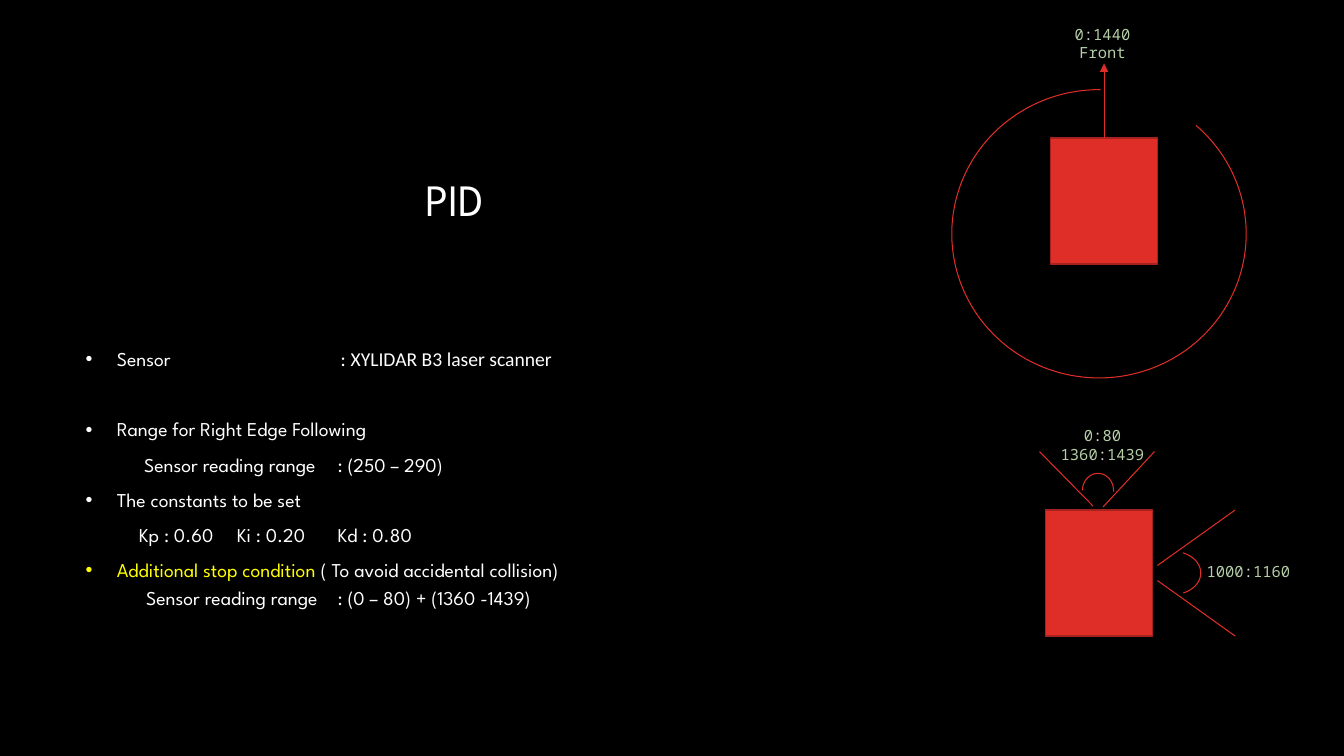
"""Builds the PID slide: sensor settings on the left, scan ranges on the right."""
from lxml import etree
from pptx import Presentation
from pptx.dml.color import RGBColor
from pptx.enum.shapes import MSO_CONNECTOR, MSO_SHAPE
from pptx.enum.text import MSO_ANCHOR, PP_ALIGN
from pptx.oxml.ns import qn
from pptx.util import Inches, Pt

LINE = MSO_CONNECTOR.STRAIGHT
RECT = MSO_SHAPE.RECTANGLE
ARC = MSO_SHAPE.ARC
BOTTOM = MSO_ANCHOR.BOTTOM
LEFT = PP_ALIGN.LEFT
CENTER = PP_ALIGN.CENTER
MAIN = "League Spartan"
MONO = "Noto Sans Mono"
COLORS = {"black": "000000", "white": "FFFFFF", "yellow": "FFFF00", "red": "DF2E28",
          "edge": "A5221E", "green": "B5CEA8", "gray": "D4D4D4"}
RGB = {name: RGBColor.from_string(code) for name, code in COLORS.items()}

deck = Presentation()
deck.slide_width, deck.slide_height = Inches(13.33), Inches(7.5)
slide = deck.slides.add_slide(deck.slide_layouts[6])
slide.background.fill.solid()
slide.background.fill.fore_color.rgb = RGB["black"]
shapes = slide.shapes


def add_box(left, top, width, height, wrap=True):
    frame = shapes.add_textbox(*map(Inches, (left, top, width, height))).text_frame
    frame.word_wrap = wrap
    return frame


def add_run(para, text, size, color, font=MAIN):
    run = para.add_run()
    run.text = text
    run.font.size, run.font.name = Pt(size), font
    run.font.color.rgb = RGB[color]


title = add_box(0.75, 1.67, 7.52, 0.62)
title.vertical_anchor = BOTTOM
head = title.paragraphs[0]
head.alignment, head.line_spacing = CENTER, 0.9
add_run(head, "PID", 32, "white")

# Each row: bullet, first-line indent, space before, tab stops, runs
rows = [
    (True, -0.31, 10, [2.53], [("Sensor\t: ", "white", MAIN),
                               ("XYLIDAR B3 laser scanner", "white", "Calibri")]),
    (True, -0.31, 35, [], [("Range for Right Edge Following", "white", MAIN)]),
    (False, 0.58, 10, [2.38], [("Sensor reading range\t: (250 – 290)", "white", MAIN)]),
    (True, -0.31, 10, [], [("The constants to be set", "white", MAIN)]),
    (False, 0.53, 10, [2, 3], [("Kp : 0.60\tKi : 0.20\tKd : 0.80", "white", MAIN)]),
    (True, -0.31, 10, [], [("Additional stop condition ", "yellow", MAIN),
                           ("( To avoid accidental collision)", "white", MAIN)]),
    (False, 0.6, 5, [2.44], [("Sensor reading range\t: (0 – 80) + (1360 -1439)", "white", MAIN)]),
]
body = add_box(0.75, 3.42, 7.52, 3.38)
for i, (bullet, indent, before, stops, runs) in enumerate(rows):
    para = body.paragraphs[0] if i == 0 else body.add_paragraph()
    para.line_spacing, para.space_before = 0.9, Pt(before)
    for text, color, font in runs:
        add_run(para, text, 14, color, font)
    props = para._p.get_or_add_pPr()
    props.set("marL", str(Inches(0.31 if bullet else 0)))
    props.set("indent", str(Inches(indent)))
    if bullet:
        etree.SubElement(props, qn("a:buFont"), typeface="Arial")
        etree.SubElement(props, qn("a:buChar"), char="•")
    if stops:
        tabs = etree.SubElement(props, qn("a:tabLst"))
        for stop in stops:
            etree.SubElement(tabs, qn("a:tab"), pos=str(Inches(stop)), algn="l")

for left, top in [(10.42, 1.37), (10.37, 5.06)]:
    robot = shapes.add_shape(RECT, *map(Inches, (left, top, 1.06, 1.25)))
    robot.shadow.inherit = False
    robot.fill.solid()
    robot.fill.fore_color.rgb = RGB["red"]
    robot.line.color.rgb = RGB["edge"]
    robot.line.width = Pt(1)

arcs = [
    (9.44, 0.89, 2.92, 2.86, 0, 187.07, 162.39),
    (11.35, 5.47, 0.56, 0.43, 0, 178.27, 37.06),
    (10.72, 4.71, 0.34, 0.31, 270, 162, 56.51),
]
for left, top, width, height, turn, start, end in arcs:
    arc = shapes.add_shape(ARC, *map(Inches, (left, top, width, height)))
    arc.shadow.inherit = False
    arc.rotation = turn
    arc.adjustments[0], arc.adjustments[1] = start, end
    arc.fill.background()
    arc.line.color.rgb = RGB["red"]
    arc.line.width = Pt(0.75)

rays = [
    (10.95, 1.37, 10.95, 0.63, True),
    (11.48, 5.61, 12.25, 5.06, False),
    (11.48, 5.76, 12.25, 6.31, False),
    (10.94, 5.03, 11.45, 4.48, False),
    (10.84, 5.02, 10.31, 4.48, False),
]
for *ends, arrow in rays:
    ray = shapes.add_connector(LINE, *map(Inches, ends))
    ray.line.color.rgb = RGB["red"]
    ray.line.width = Pt(0.75)
    if arrow:
        etree.SubElement(ray.line._get_or_add_ln(), qn("a:tailEnd"), type="triangle")
    etree.SubElement(ray._element.spPr, qn("a:effectLst"))

labels = [
    (11.87, 5.53, 1.03, 0.29, LEFT, ["1000:1160"]),
    (10.42, 4.18, 1.03, 0.84, CENTER, ["0:80", "1360:1439"]),
    (10.46, 0.2, 0.95, 0.47, CENTER, ["0:1440", "Front"]),
]
for left, top, width, height, align, lines in labels:
    label = add_box(left, top, width, height, False)
    for i, text in enumerate(lines):
        para = label.paragraphs[0] if i == 0 else label.add_paragraph()
        para.alignment = align
        for part in text.partition(":"):
            if part:
                add_run(para, part, 11, "gray" if part == ":" else "green", MONO)

deck.save("out.pptx")
